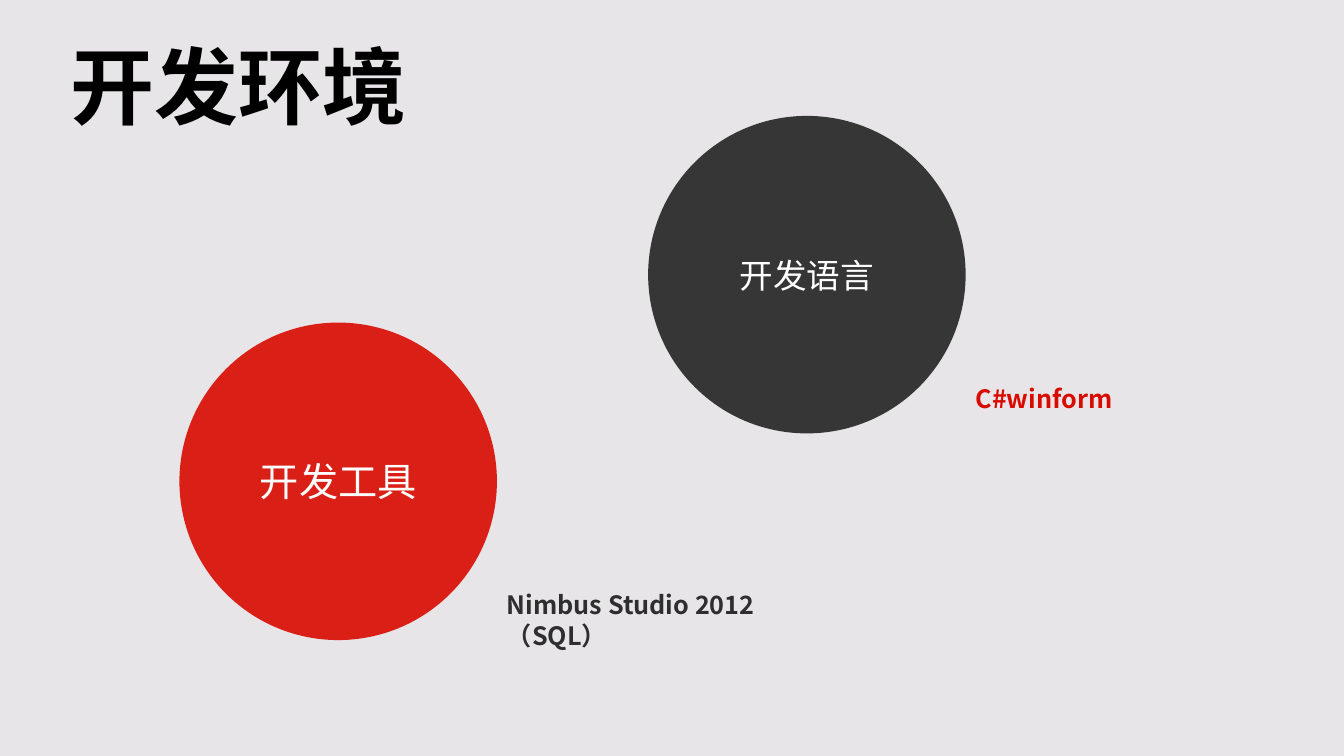
import pptx
import pptx.dml.color
import pptx.enum.shapes
import pptx.enum.text
import pptx.oxml
import pptx.oxml.ns
import pptx.util
from collections import namedtuple
from dataclasses import dataclass

Pt = pptx.util.Pt
ALIGN = pptx.enum.text.PP_ALIGN
Box = namedtuple("Box", "left top width height")
Topic = namedtuple("Topic", "box name name_size fill detail detail_color detail_width")


@dataclass(frozen=True)
class Theme:
    font: str = "Noto Sans CJK SC"
    background: str = "E7E5E8"
    title_color: str = "000000"
    name_color: str = "FFFFFF"
    dark: str = "232323"
    red: str = "D90A00"
    gray: str = "2E2E2E"
    title_size: int = 60
    tool_size: int = 28
    language_size: int = 24
    detail_size: int = 18
    circle_opacity: int = 90


THEME = Theme()
DIAMETER = 226.8
DETAIL_DROP = 187.2
DETAIL_HEIGHT = 28.8

TOPICS = [
    Topic(Box(128.16, 230.4, DIAMETER, DIAMETER), "开发工具", THEME.tool_size,
          THEME.red, "Nimbus Studio 2012（SQL）", THEME.gray, 249.84),
    Topic(Box(462.96, 82.8, DIAMETER, DIAMETER), "开发语言", THEME.language_size,
          THEME.dark, "C#winform", THEME.red, 124.56),
]


def rgb(value):
    return pptx.dml.color.RGBColor.from_string(value)


def points(box):
    return [Pt(length) for length in box]


def write(shape, text, size, color, bold=False, align=ALIGN.LEFT):
    para = shape.text_frame.paragraphs[0]
    para.alignment = align
    span = para.add_run()
    span.text = text
    for name, value in {"name": THEME.font, "size": Pt(size), "bold": bold}.items():
        setattr(span.font, name, value)
    span.font.color.rgb = rgb(color)
    east_asian = pptx.oxml.parse_xml(
        f'<a:ea {pptx.oxml.ns.nsdecls("a")} typeface="{THEME.font}"/>')
    span.font._element.find(pptx.oxml.ns.qn("a:latin")).addnext(east_asian)


def add_label(page, box, text, size, color, wrap=True):
    label = page.shapes.add_textbox(*points(box))
    label.text_frame.word_wrap = wrap
    label.text_frame.auto_size = pptx.enum.text.MSO_AUTO_SIZE.SHAPE_TO_FIT_TEXT
    write(label, text, size, color, bold=True)


def add_circle(page, topic):
    circle = page.shapes.add_shape(
        pptx.enum.shapes.MSO_SHAPE.OVAL, *points(topic.box))
    circle.shadow.inherit = False
    circle.line.fill.background()
    circle.fill.solid()
    circle.fill.fore_color.rgb = rgb(topic.fill)
    color = circle._element.spPr.find(".//" + pptx.oxml.ns.qn("a:srgbClr"))
    color.append(pptx.oxml.parse_xml(
        f'<a:alpha {pptx.oxml.ns.nsdecls("a")} val="{THEME.circle_opacity * 1000}"/>'))
    circle.text_frame.vertical_anchor = pptx.enum.text.MSO_ANCHOR.MIDDLE
    write(circle, topic.name, topic.name_size, THEME.name_color, align=ALIGN.CENTER)


def add_topic(page, topic):
    """Place a circle with its detail text at the lower right."""
    box = topic.box
    detail_box = Box(box.left + box.width, box.top + DETAIL_DROP,
                     topic.detail_width, DETAIL_HEIGHT)
    add_label(page, detail_box, topic.detail, THEME.detail_size, topic.detail_color)
    add_circle(page, topic)


def add_environment_page(deck):
    page = deck.slides.add_slide(deck.slide_layouts[6])
    page.background.fill.solid()
    page.background.fill.fore_color.rgb = rgb(THEME.background)
    for topic in TOPICS:
        add_topic(page, topic)
    add_label(page, Box(43.2, 20.88, 257.76, 79.92), "开发环境",
              THEME.title_size, THEME.title_color, wrap=False)


def main():
    deck = pptx.Presentation()
    deck.slide_width, deck.slide_height = Pt(960), Pt(540)
    add_environment_page(deck)
    deck.save("out.pptx")


if __name__ == "__main__":
    main()
